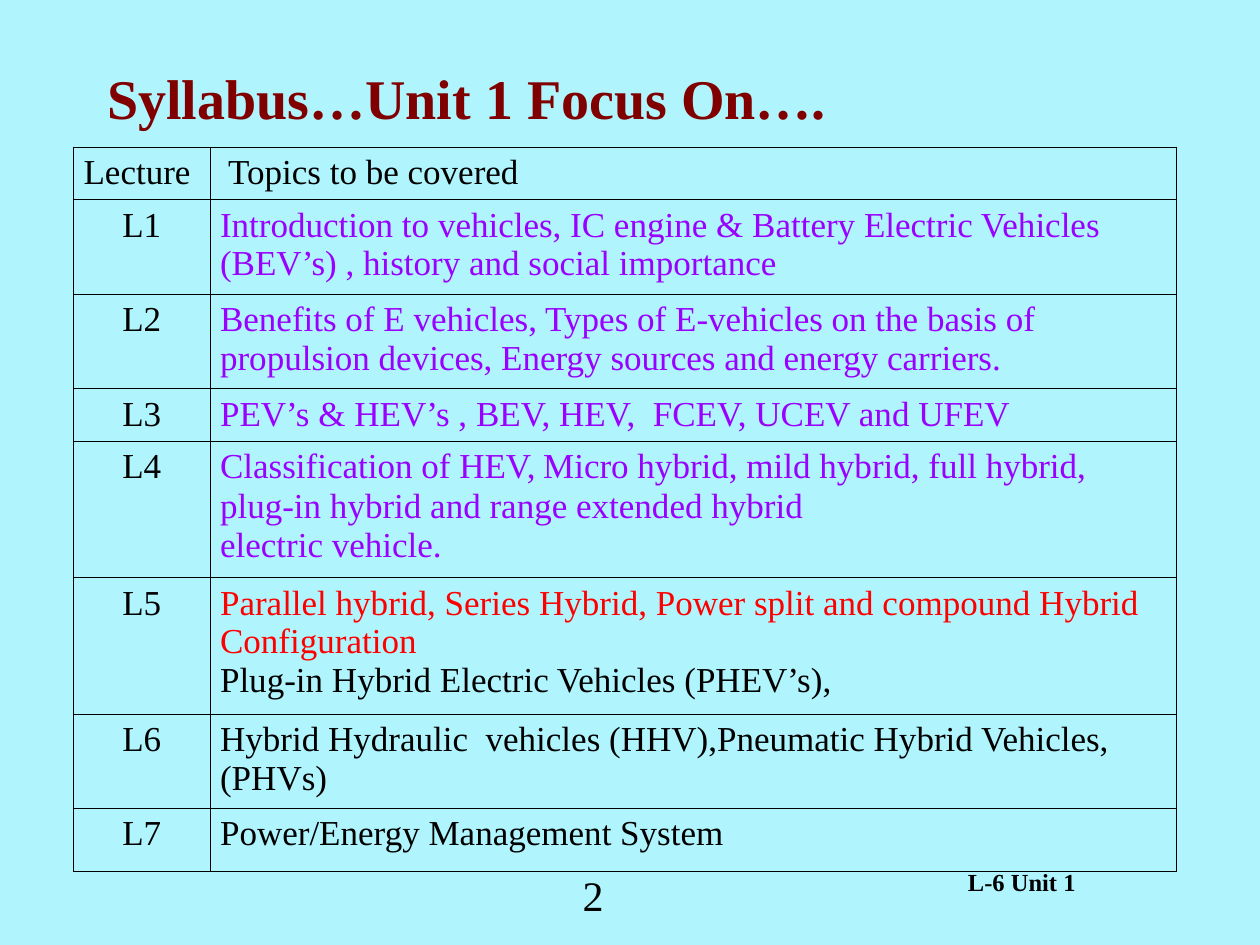
from dataclasses import dataclass

from lxml import etree
from pptx import Presentation
from pptx import util as u
from pptx.dml.color import RGBColor
from pptx.enum import text
from pptx.oxml.ns import qn


@dataclass(frozen=True)
class Theme:
    font: str = "Times New Roman"
    accent_font: str = "Calibri"
    background: str = "B0F5FE"
    heading: str = "800000"
    ink: str = "000000"
    covered: str = "9900FF"
    current: str = "FF0000"
    title_size: int = 32
    number_size: int = 24
    body_size: int = 20
    gap_size: int = 18
    footer_size: int = 14
    border: float = 0.45


THEME = Theme()
UNIT = u.Inches(1) // 12
PAGE_COLUMNS, PAGE_ROWS = 120, 90
TABLE_LEFT, TABLE_TOP = 7, 14
COLUMN_UNITS = (13, 92)
ROW_UNITS = (5, 9, 9, 5, 13, 13, 9, 6)
CELL_MARGINS = {
    "margin_left": u.Inches(0.08),
    "margin_right": u.Inches(0.08),
    "margin_top": u.Inches(0.05),
    "margin_bottom": u.Inches(0.01),
}
LEFT, CENTER = text.PP_ALIGN.LEFT, text.PP_ALIGN.CENTER


def span(words, color=THEME.ink, size=THEME.body_size, name=THEME.font, bold=False):
    return words, color, {"size": u.Pt(size), "name": name, "bold": bold}


TOPICS = [
    [[span("Introduction to vehicles, IC engine & Battery Electric Vehicles "
           "(BEV’s) , history and social importance", THEME.covered)]],
    [[span("Benefits of E vehicles, Types of E-vehicles on the basis of propulsion "
           "devices, Energy sources and energy carriers.", THEME.covered)]],
    [[span("PEV’s & HEV’s , BEV, HEV,  FCEV, UCEV and UFEV", THEME.covered)]],
    [[span("Classification of HEV,", THEME.covered),
      span(" ", THEME.covered, THEME.gap_size, THEME.accent_font),
      span("Micro hybrid, mild hybrid, full hybrid, plug-in hybrid and "
           "range extended hybrid", THEME.covered)],
     [span("electric vehicle.", THEME.covered)]],
    [[span("Parallel hybrid, Series Hybrid, Power split and compound Hybrid "
           "Configuration", THEME.current)],
     [span("Plug-in Hybrid Electric Vehicles (PHEV’s),")]],
    [[span("Hybrid Hydraulic  vehicles (HHV),Pneumatic Hybrid Vehicles, (PHVs)")]],
    [[span("Power/Energy Management System")]],
]


def grid(*units):
    return [round(value * UNIT) for value in units]


def apply(target, values):
    for name, value in values.items():
        setattr(target, name, value)


def write(frame, paragraphs, alignment=LEFT):
    for index, spans in enumerate(paragraphs):
        para = frame.add_paragraph() if index else frame.paragraphs[0]
        para.alignment = alignment
        for words, color, values in spans:
            run = para.add_run()
            run.text = words
            apply(run.font, values)
            run.font.color.rgb = RGBColor.from_string(color)


def add_title(page, words):
    title = page.shapes.title
    apply(title, dict(zip(("left", "top", "width", "height"), grid(9, 4.75, 102, 9))))
    apply(title.text_frame, {
        "vertical_anchor": text.MSO_ANCHOR.MIDDLE,
        "auto_size": text.MSO_AUTO_SIZE.NONE,
        "word_wrap": True,
    })
    write(title.text_frame, [[span(words, THEME.heading, THEME.title_size, bold=True)]])


def add_label(page, area, content, alignment=LEFT):
    box = page.shapes.add_textbox(*grid(*area))
    box.text_frame.word_wrap = True
    write(box.text_frame, [[content]], alignment)


def outline(cell):
    properties = cell._tc.get_or_add_tcPr()
    for side in ("a:lnL", "a:lnR", "a:lnT", "a:lnB"):
        line = etree.SubElement(properties, qn(side), w=str(u.Pt(THEME.border)))
        fill = etree.SubElement(line, qn("a:solidFill"))
        etree.SubElement(fill, qn("a:srgbClr"), val=THEME.ink)


def fill_cell(cell, paragraphs, alignment=LEFT):
    apply(cell, CELL_MARGINS)
    outline(cell)
    cell.fill.background()
    write(cell.text_frame, paragraphs, alignment)


def add_syllabus(page):
    area = grid(TABLE_LEFT, TABLE_TOP, sum(COLUMN_UNITS), sum(ROW_UNITS))
    table = page.shapes.add_table(len(ROW_UNITS), len(COLUMN_UNITS), *area).table
    apply(table, {"first_row": False, "horz_banding": False})
    for column, width in zip(table.columns, grid(*COLUMN_UNITS)):
        column.width = width
    for row, height in zip(table.rows, grid(*ROW_UNITS)):
        row.height = height
    fill_cell(table.cell(0, 0), [[span("Lecture")]])
    fill_cell(table.cell(0, 1), [[span(" Topics to be covered")]])
    for number, topic in enumerate(TOPICS, 1):
        fill_cell(table.cell(number, 0), [[span(f"L{number}")]], CENTER)
        fill_cell(table.cell(number, 1), topic)


def main():
    deck = Presentation()
    apply(deck, {"slide_width": PAGE_COLUMNS * UNIT, "slide_height": PAGE_ROWS * UNIT})
    page = deck.slides.add_slide(deck.slide_layouts.get_by_name("Title Only"))
    page.background.fill.solid()
    page.background.fill.fore_color.rgb = RGBColor.from_string(THEME.background)
    add_label(page, (91, 82, 15, 4), span("L-6 Unit 1", size=THEME.footer_size, bold=True))
    add_title(page, "Syllabus…Unit 1 Focus On….")
    add_label(page, (44, 82.25, 25, 6), span("2", size=THEME.number_size), CENTER)
    add_syllabus(page)
    deck.save("out.pptx")


if __name__ == "__main__":
    main()
